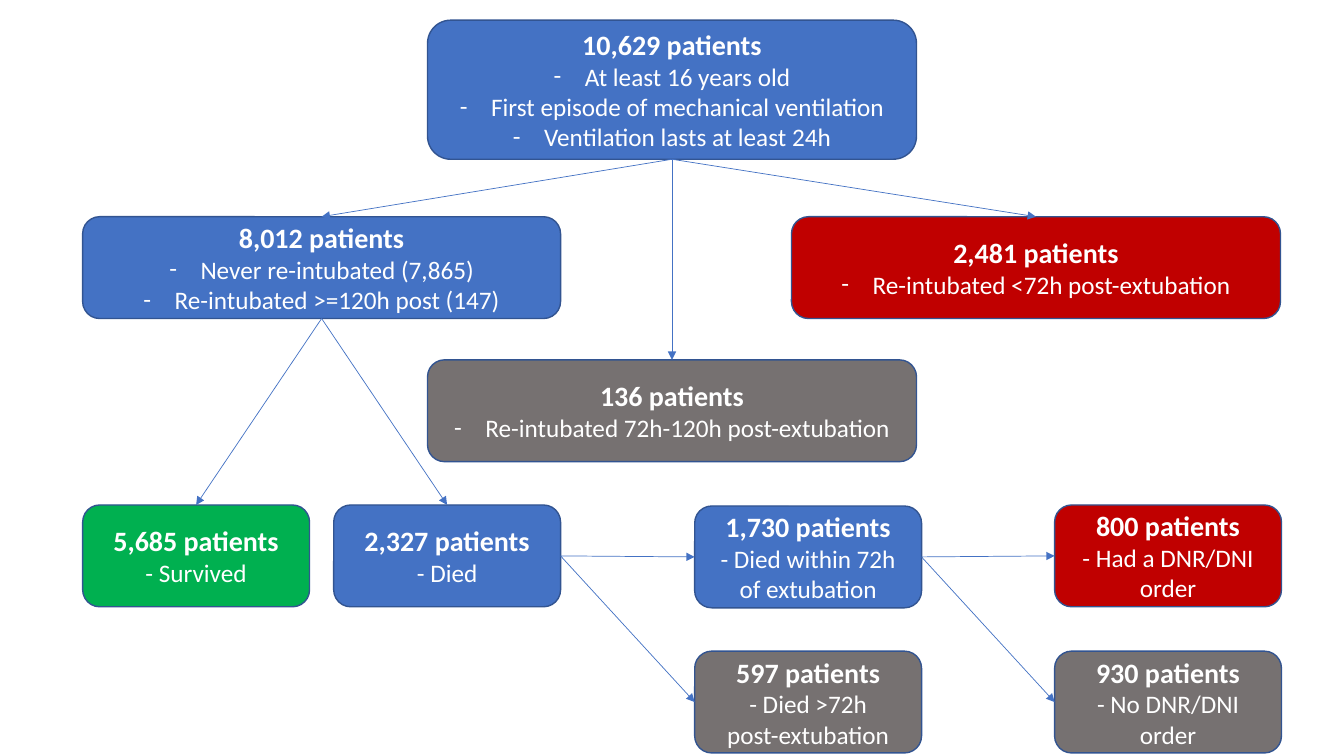
from lxml.etree import SubElement
from pptx import Presentation
from pptx.dml.color import RGBColor
from pptx.enum.shapes import MSO_CONNECTOR as Connector, MSO_SHAPE as Preset
from pptx.enum.text import MSO_ANCHOR as Anchor, PP_ALIGN as Align
from pptx.oxml.ns import qn
from pptx.util import Pt

PX = 9144
TOP, LEFT, BOTTOM, RIGHT = range(4)
BLUE = RGBColor(0x44, 0x72, 0xC4)
OUTLINE = RGBColor(0x32, 0x54, 0x91)
GREY = RGBColor(0x76, 0x71, 0x71)
RED = RGBColor(0xC0, 0x00, 0x00)
GREEN = RGBColor(0x00, 0xB0, 0x50)
WHITE = RGBColor(0xFF, 0xFF, 0xFF)

WIDE, NARROW, HEIGHT = 485, 225, 101
UPPER_ROW, LOWER_ROW, LAST_ROW = 215, 501, 646

GROUPS = {
    "all": (424, 20, WIDE, 138, BLUE, "10,629 patients", True,
            ["At least 16 years old", "First episode of mechanical ventilation",
             "Ventilation lasts at least 24h"]),
    "not_reintubated": (82, UPPER_ROW, 474, HEIGHT, BLUE, "8,012 patients", True,
                        ["Never re-intubated (7,865)", "Re-intubated >=120h post (147)"]),
    "between": (424, 357, WIDE, HEIGHT, GREY, "136 patients", True,
                ["Re-intubated 72h-120h post-extubation"]),
    "reintubated": (785, UPPER_ROW, WIDE, HEIGHT, RED, "2,481 patients", True,
                    ["Re-intubated <72h post-extubation"]),
    "survived": (82, LOWER_ROW, NARROW, HEIGHT, GREEN, "5,685 patients", False,
                 ["- Survived"]),
    "died": (331, LOWER_ROW, NARROW, HEIGHT, BLUE, "2,327 patients", False, ["- Died"]),
    "died_early": (689, 502, NARROW, HEIGHT, BLUE, "1,730 patients", False,
                   ["- Died within 72h of extubation"]),
    "died_late": (689, LAST_ROW, NARROW, HEIGHT, GREY, "597 patients", False,
                  ["- Died >72h\npost-extubation"]),
    "order": (1046, LOWER_ROW, NARROW, HEIGHT, RED, "800 patients", False,
              ["- Had a DNR/DNI order"]),
    "no_order": (1046, LAST_ROW, NARROW, HEIGHT, GREY, "930 patients", False,
                 ["- No DNR/DNI order"]),
}

DOWNWARD = [("all", "between"), ("all", "not_reintubated"), ("all", "reintubated"),
            ("not_reintubated", "survived"), ("not_reintubated", "died")]
SIDEWAYS = [("died", "died_early"), ("died", "died_late"),
            ("died_early", "order"), ("died_early", "no_order")]


def add_dash(para):
    """Give a paragraph a hanging dash bullet."""
    properties = para._p.get_or_add_pPr()
    properties.set("marL", str(31 * PX))
    properties.set("indent", str(-31 * PX))
    SubElement(properties, qn("a:buFont"), typeface="Calibri")
    SubElement(properties, qn("a:buChar"), char="-")


def write_text(para, text, size, bold):
    """Write centred white text, one run per line."""
    para.alignment = Align.CENTER
    for index, line in enumerate(text.split("\n")):
        if index:
            para.add_line_break()
        span = para.add_run()
        span.text = line
        span.font.name = "Calibri"
        span.font.size = Pt(size)
        span.font.bold = bold
        span.font.color.rgb = WHITE


def add_group(page, left, top, width, height, color, count, dashed, details):
    """Add a rounded box with a patient count and its criteria."""
    box = page.shapes.add_shape(Preset.ROUNDED_RECTANGLE,
                                left * PX, top * PX, width * PX, height * PX)
    box.shadow.inherit = False
    box.fill.solid()
    box.fill.fore_color.rgb = color
    box.line.color.rgb = OUTLINE
    box.line.width = Pt(1)
    frame = box.text_frame
    frame.word_wrap = True
    frame.vertical_anchor = Anchor.MIDDLE
    write_text(frame.paragraphs[0], count, 20, True)
    for detail in details:
        para = frame.add_paragraph()
        if dashed:
            add_dash(para)
        write_text(para, detail, 18, False)
    return box


def add_arrow(page, source, source_side, target, target_side):
    """Join two boxes with a thin arrow."""
    arrow = page.shapes.add_connector(Connector.STRAIGHT, 0, 0, 0, 0)
    arrow.begin_connect(source, source_side)
    arrow.end_connect(target, target_side)
    arrow.line.color.rgb = BLUE
    arrow.line.width = Pt(0.5)
    SubElement(arrow.line._get_or_add_ln(), qn("a:tailEnd"), type="triangle")
    SubElement(arrow._element.spPr, qn("a:effectLst"))


def main():
    """Build the patient flow chart."""
    deck = Presentation()
    deck.slide_width, deck.slide_height = 1333 * PX, 750 * PX
    page = deck.slides.add_slide(deck.slide_layouts[6])
    boxes = {name: add_group(page, *group) for name, group in GROUPS.items()}
    for source, target in DOWNWARD:
        add_arrow(page, boxes[source], BOTTOM, boxes[target], TOP)
    for source, target in SIDEWAYS:
        add_arrow(page, boxes[source], RIGHT, boxes[target], LEFT)
    deck.save("out.pptx")


if __name__ == "__main__":
    main()
